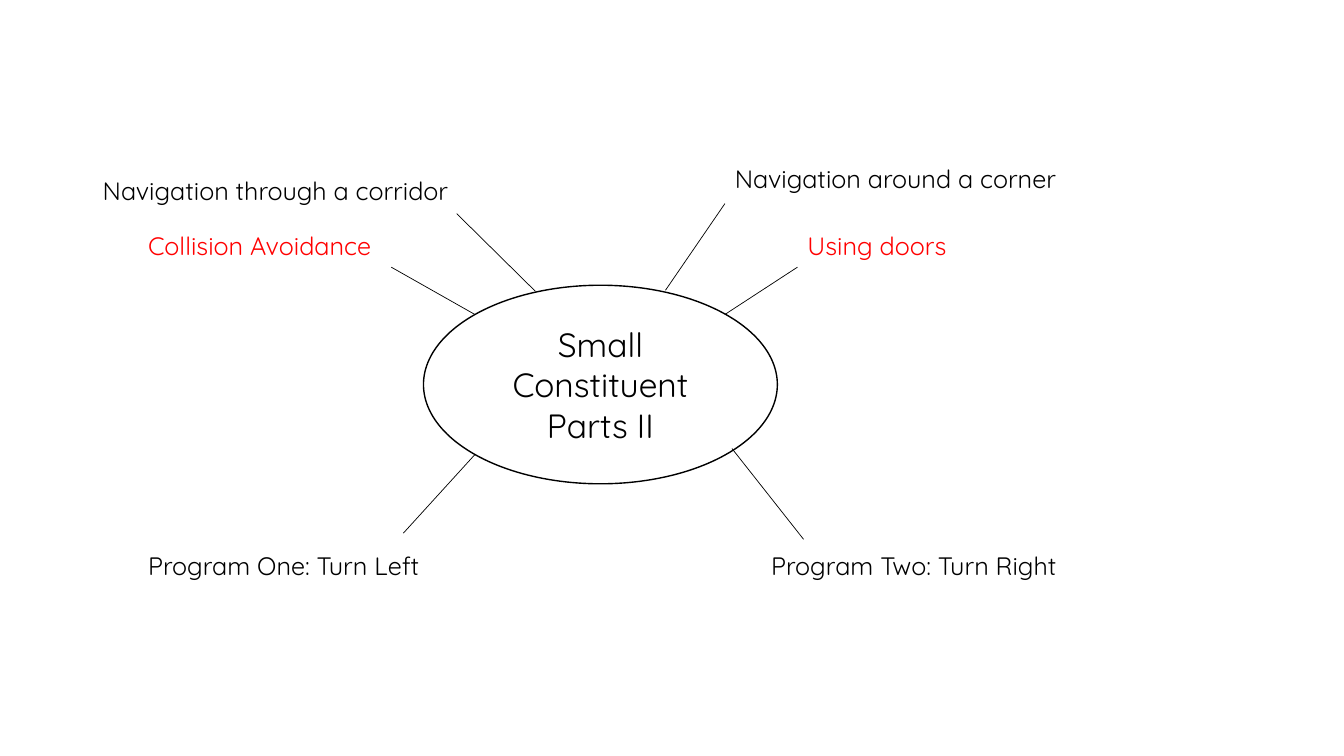
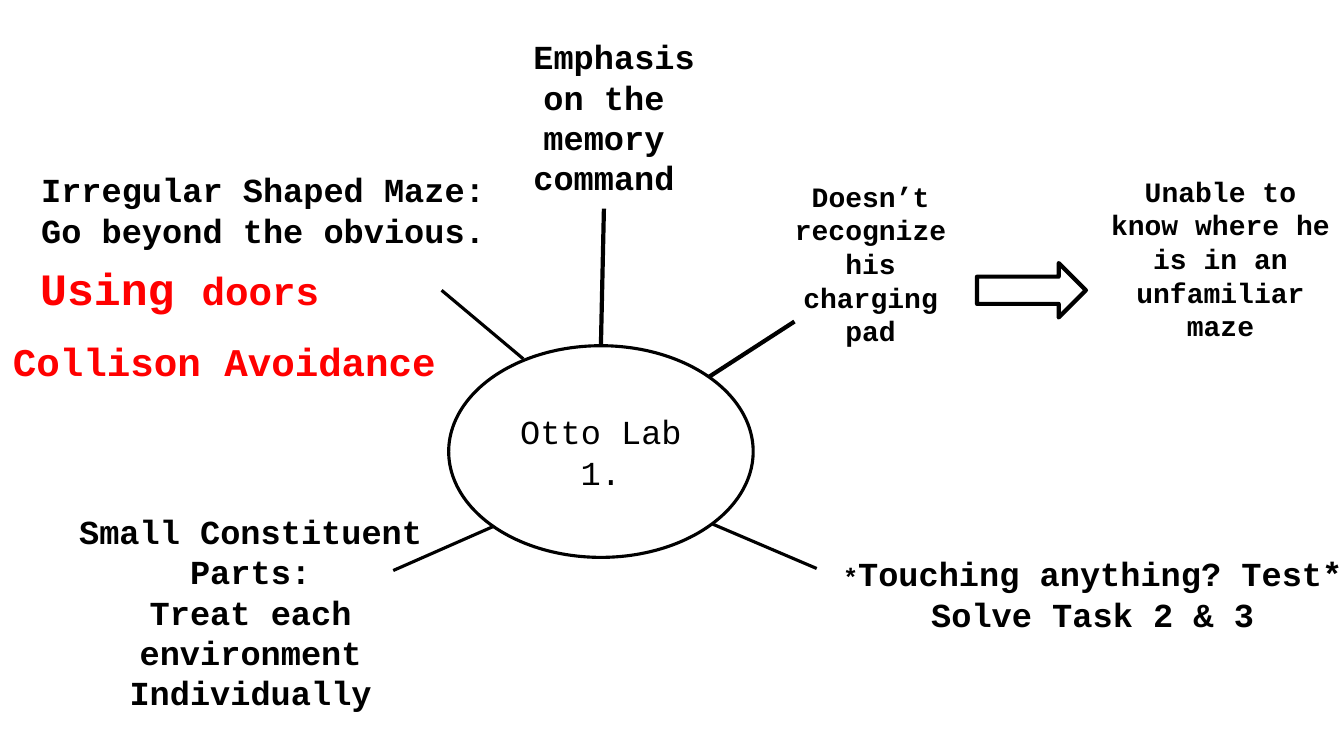
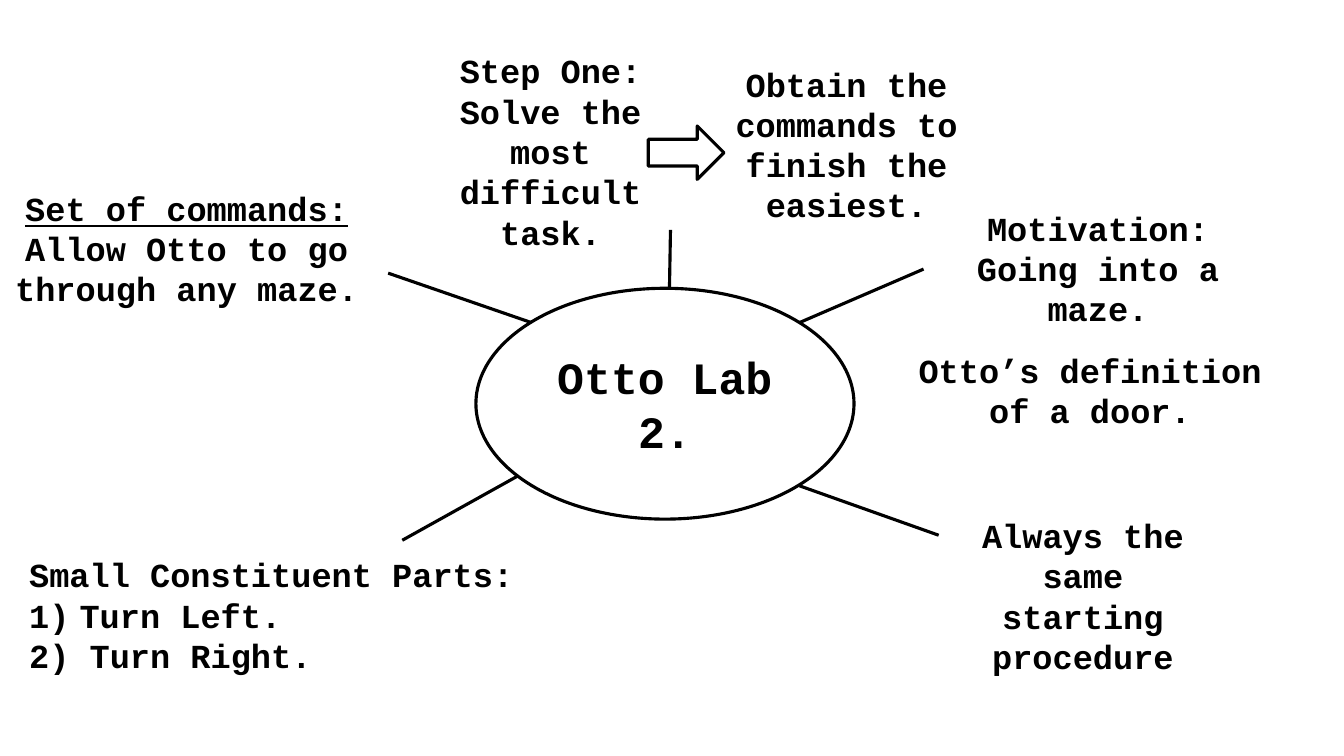
from dataclasses import dataclass

from lxml.etree import SubElement
from pptx import Presentation
from pptx.dml.color import RGBColor
from pptx.enum.shapes import MSO_CONNECTOR, MSO_SHAPE
from pptx.enum.text import MSO_ANCHOR, MSO_AUTO_SIZE, PP_ALIGN
from pptx.oxml.ns import qn
from pptx.util import Emu, Pt

EMU_PER_PX = 9144  # 100 px to the inch
SLIDE_WIDTH, SLIDE_HEIGHT = 1333, 750
COLORS = {"ink": "000000", "paper": "FFFFFF", "alert": "FF0000"}
LEFT, CENTER, RIGHT = PP_ALIGN.LEFT, PP_ALIGN.CENTER, PP_ALIGN.RIGHT


@dataclass(frozen=True)
class Box:
    left: int
    top: int
    width: int
    height: int

    def emu(self) -> tuple:
        return tuple(px(n) for n in (self.left, self.top, self.width, self.height))

    def top_center(self) -> tuple[int, int]:
        return self.left + self.width // 2, self.top


@dataclass(frozen=True)
class Piece:
    """A stretch of text; a size of 0 takes the size of its label."""
    text: str
    size: int = 0
    underline: bool = False


@dataclass(frozen=True)
class Line:
    pieces: tuple[Piece, ...]
    align: PP_ALIGN
    numbered: bool = False


@dataclass(frozen=True)
class Label:
    box: Box
    lines: tuple[Line, ...]
    size: int = 24
    color: str = "ink"
    wrap: bool = True


@dataclass(frozen=True)
class Hub:
    box: Box
    text: str
    size: int
    bold: bool = False


@dataclass(frozen=True)
class Spoke:
    start: tuple[int, int]
    end: tuple[int, int]
    weight: float = 2.25


@dataclass(frozen=True)
class Arrow:
    box: Box
    weight: float = 2.25


@dataclass(frozen=True)
class MindMap:
    font: str
    bold_labels: bool
    outline: float
    hub: Hub
    spokes: tuple[Spoke, ...]
    labels: tuple[Label, ...]
    arrows: tuple[Arrow, ...] = ()


def px(length: int) -> Emu:
    return Emu(length * EMU_PER_PX)


def color(name: str) -> RGBColor:
    return RGBColor.from_string(COLORS[name])


def lines(*texts: str, align: PP_ALIGN = CENTER) -> tuple[Line, ...]:
    return tuple(Line((Piece(text),), align) for text in texts)


def format_run(run, font_name: str, size: int, bold: bool, color_name: str) -> None:
    font = run.font
    font.name, font.size, font.bold = font_name, Pt(size), bold
    font.color.rgb = color(color_name)


def number_paragraph(paragraph) -> None:
    """Number the paragraph as 1) with a hanging indent."""
    properties = paragraph._p.get_or_add_pPr()
    properties.set("marL", str(px(50)))
    properties.set("indent", str(-px(50)))
    SubElement(properties, qn("a:buFont"), typeface="+mj-lt")
    SubElement(properties, qn("a:buAutoNum"), type="arabicParenR")


def draw_outlined(slide, kind: MSO_SHAPE, box: Box, weight: float):
    shape = slide.shapes.add_shape(kind, *box.emu())
    shape.shadow.inherit = False
    shape.fill.solid()
    shape.fill.fore_color.rgb = color("paper")
    shape.line.color.rgb = color("ink")
    shape.line.width = Pt(weight)
    return shape


def draw_hub(slide, hub: Hub, font_name: str, outline: float):
    shape = draw_outlined(slide, MSO_SHAPE.OVAL, hub.box, outline)
    text_frame = shape.text_frame
    text_frame.text = hub.text
    text_frame.word_wrap = True
    text_frame.vertical_anchor = MSO_ANCHOR.MIDDLE
    paragraph = text_frame.paragraphs[0]
    paragraph.alignment = CENTER
    format_run(paragraph.runs[0], font_name, hub.size, hub.bold, "ink")
    return shape


def draw_spoke(slide, spoke: Spoke, hub: Hub, hub_shape) -> None:
    ends = (px(n) for n in (*spoke.start, *spoke.end))
    connector = slide.shapes.add_connector(MSO_CONNECTOR.STRAIGHT, *ends)
    connector.line.color.rgb = color("ink")
    connector.line.width = Pt(spoke.weight)
    SubElement(connector._element.spPr, qn("a:effectLst"))
    if spoke.start == hub.box.top_center():
        connector.begin_connect(hub_shape, 0)


def draw_label(slide, label: Label, font_name: str, bold: bool) -> None:
    text_frame = slide.shapes.add_textbox(*label.box.emu()).text_frame
    text_frame.word_wrap = label.wrap
    text_frame.auto_size = MSO_AUTO_SIZE.SHAPE_TO_FIT_TEXT
    for index, line in enumerate(label.lines):
        paragraph = text_frame.add_paragraph() if index else text_frame.paragraphs[0]
        paragraph.alignment = line.align
        if line.numbered:
            number_paragraph(paragraph)
        for piece in line.pieces:
            run = paragraph.add_run()
            run.text = piece.text
            format_run(run, font_name, piece.size or label.size, bold, label.color)
            if piece.underline:
                run.font.underline = True


def draw_mind_map(presentation, mind_map: MindMap) -> None:
    slide = presentation.slides.add_slide(presentation.slide_layouts[6])
    hub_shape = draw_hub(slide, mind_map.hub, mind_map.font, mind_map.outline)
    for spoke in mind_map.spokes:
        draw_spoke(slide, spoke, mind_map.hub, hub_shape)
    for arrow in mind_map.arrows:
        draw_outlined(slide, MSO_SHAPE.RIGHT_ARROW, arrow.box, arrow.weight)
    for label in mind_map.labels:
        draw_label(slide, label, mind_map.font, mind_map.bold_labels)


def small_label(left: int, top: int, width: int, text: str, color_name: str = "ink") -> Label:
    return Label(Box(left, top, width, 40), lines(text, align=LEFT), 18, color_name, wrap=False)


SMALL_PARTS = MindMap(
    font="Quicksand", bold_labels=False, outline=1,
    hub=Hub(Box(420, 283, 351, 197), "Small Constituent Parts II", 24),
    spokes=(
        Spoke((471, 312), (388, 265), 0.5),
        Spoke((719, 312), (791, 265), 0.5),
        Spoke((531, 289), (453, 212), 0.5),
        Spoke((660, 288), (719, 202), 0.5),
        Spoke((471, 451), (400, 529), 0.5),
        Spoke((726, 445), (797, 535), 0.5),
    ),
    labels=(
        small_label(137, 224, 261, "Collision Avoidance", "alert"),
        small_label(791, 224, 168, "Using doors", "alert"),
        small_label(92, 169, 381, "Navigation through a corridor"),
        small_label(719, 157, 354, "Navigation around a corner"),
        small_label(137, 541, 306, "Program One: Turn Left"),
        small_label(755, 541, 324, "Program Two: Turn Right"),
    ),
)

LAB_ONE = MindMap(
    font="Courier New", bold_labels=True, outline=2.25,
    hub=Hub(Box(445, 343, 302, 210), "Otto Lab 1.", 24),
    spokes=(
        Spoke((596, 343), (599, 207), 3),
        Spoke((703, 374), (788, 319), 3),
        Spoke((707, 520), (810, 564)),
        Spoke((490, 522), (390, 566)),
        Spoke((519, 356), (438, 288)),
    ),
    arrows=(Arrow(Box(969, 261, 108, 54), 3),),
    labels=(
        Label(Box(3, 330, 451, 59), lines("Collison Avoidance", align=LEFT), 28, "alert", wrap=False),
        Label(Box(802, 544, 539, 91), (
            Line((Piece("*", 18), Piece("Touching anything? Test*")), RIGHT),
            *lines("Solve Task 2 & 3"),
        ), wrap=False),
        Label(Box(21, 502, 455, 212),
              lines("Small Constituent Parts:", "Treat each environment Individually")),
        Label(Box(490, 31, 218, 176), lines(" Emphasis on the memory command")),
        Label(Box(777, 173, 173, 183), lines("Doesn’t recognize his charging pad"), 20),
        Label(Box(1088, 168, 245, 183),
              lines("Unable to know where he is in an unfamiliar maze"), 20),
        Label(Box(31, 163, 473, 93),
              lines("Irregular Shaped Maze:", "Go beyond the obvious.", align=LEFT), wrap=False),
        Label(Box(30, 254, 304, 66), (Line((Piece("Using ", 32), Piece("doors", 28)), LEFT),),
              color="alert", wrap=False),
    ),
)

LAB_TWO = MindMap(
    font="Courier New", bold_labels=True, outline=2.25,
    hub=Hub(Box(472, 286, 375, 229), "Otto Lab 2.", 32, bold=True),
    spokes=(
        Spoke((664, 286), (665, 228)),
        Spoke((793, 320), (916, 267)),
        Spoke((514, 472), (399, 536)),
        Spoke((527, 320), (385, 271)),
        Spoke((793, 482), (931, 531)),
    ),
    arrows=(Arrow(Box(643, 125, 75, 53)),),
    labels=(
        Label(Box(405, 45, 282, 212), lines("Step One:", "Solve the most difficult task.")),
        Label(Box(687, 58, 305, 172), lines("Obtain the commands to finish the easiest.")),
        Label(Box(916, 201, 346, 131), lines("Motivation: Going into a maze.")),
        Label(Box(900, 342, 362, 131), lines("Otto’s definition of a door.")),
        Label(Box(19, 545, 508, 131), (
            *lines("Small Constituent Parts:", align=LEFT),
            Line((Piece("Turn Left."),), LEFT, numbered=True),
            *lines("2) Turn Right.", align=LEFT),
        ), wrap=False),
        Label(Box(-49, 181, 468, 131), (
            Line((Piece("Set of commands:", underline=True),), CENTER),
            *lines("Allow Otto to go through any maze."),
        )),
        Label(Box(939, 506, 270, 172), lines("Always the same starting procedure")),
    ),
)


def main() -> None:
    presentation = Presentation()
    presentation.slide_width = px(SLIDE_WIDTH)
    presentation.slide_height = px(SLIDE_HEIGHT)
    for mind_map in (SMALL_PARTS, LAB_ONE, LAB_TWO):
        draw_mind_map(presentation, mind_map)
    presentation.save("out.pptx")


if __name__ == "__main__":
    main()
